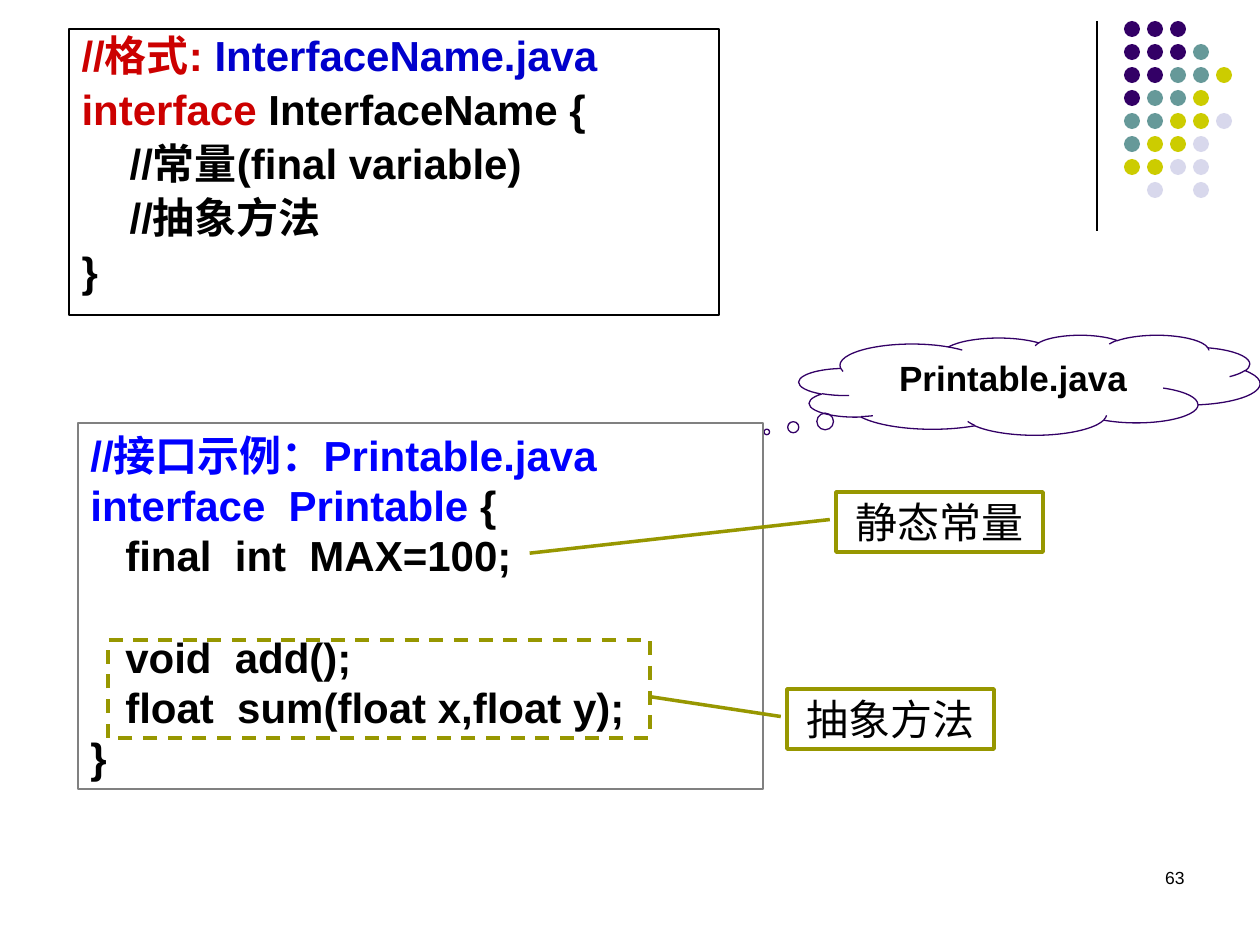
from dataclasses import dataclass

from lxml import etree
from pptx import Presentation
from pptx import util as u
from pptx.dml.color import RGBColor
from pptx.enum import dml, shapes, text
from pptx.oxml import ns

EMU_PER_PX = 914400 / 126


@dataclass(frozen=True)
class Theme:
    font: str = "Arial"
    black: str = "000000"
    red: str = "CC0000"
    navy: str = "0000CC"
    blue: str = "0000FF"
    gray: str = "808080"
    olive: str = "979700"
    purple: str = "330066"
    teal: str = "669999"
    yellow: str = "CCCC00"
    lilac: str = "D8D8EC"
    code_size: int = 24
    cloud_size: int = 20
    number_size: int = 10
    thin: float = 0.75
    thick: float = 2


THEME = Theme()

DOT_ROWS = ["PPP", "PPPT", "PPTTY", "PTTY", "TTYYL", "TYYL", "YYLL", " L L"]
DOT_COLORS = {"P": THEME.purple, "T": THEME.teal, "Y": THEME.yellow, "L": THEME.lilac}

FORMAT_CODE = [
    [("//格式: ", THEME.red), ("InterfaceName.java", THEME.navy)],
    [("interface ", THEME.red), ("InterfaceName {", THEME.black)],
    [("\t//常量(final variable)", THEME.black)],
    [("\t//抽象方法", THEME.black)],
    [("}", THEME.black)],
]
EXAMPLE_CODE = [
    [("//接口示例：Printable.java", THEME.blue)],
    [("interface  Printable ", THEME.blue), ("{", THEME.black)],
    [("   final  int  MAX=100;", THEME.black)],
    [("   void  add();", THEME.black)],
    [("   float  sum(float x,float y);", THEME.black)],
    [("}", THEME.black)],
]
METHODS_LINE = 3


def px(*lengths):
    return [u.Emu(round(length * EMU_PER_PX)) for length in lengths]


def rgb(color):
    return RGBColor.from_string(color)


def set_line(shape, color, width):
    shape.line.color.rgb = rgb(color)
    shape.line.width = u.Pt(width)


def write(shape, lines, size, bold=False, align=text.PP_ALIGN.LEFT,
          anchor=text.MSO_ANCHOR.TOP):
    frame = shape.text_frame
    frame.word_wrap = True
    frame.auto_size = text.MSO_AUTO_SIZE.NONE
    frame.vertical_anchor = anchor
    frame.text = "\n".join("" for _ in lines)
    for paragraph, pieces in zip(frame.paragraphs, lines):
        paragraph.alignment = align
        for content, color in pieces:
            run = paragraph.add_run()
            run.text = content
            run.font.name = THEME.font
            run.font.size = u.Pt(size)
            run.font.bold = bold
            run.font.color.rgb = rgb(color)
    return frame.paragraphs


def add_outline(slide, kind, box, color, width):
    shape = slide.shapes.add_shape(kind, *px(*box))
    shape.shadow.inherit = False
    shape.fill.background()
    set_line(shape, color, width)
    return shape


def add_divider(slide):
    line = slide.shapes.add_connector(shapes.MSO_CONNECTOR.STRAIGHT, *px(1097, 21, 1097, 231))
    set_line(line, THEME.black, THEME.thin)
    etree.SubElement(line._element.spPr, ns.qn("a:effectLst"))


def add_dots(slide, left, top, diameter, pitch):
    group = slide.shapes.add_group_shape()
    for row, codes in enumerate(DOT_ROWS):
        for column, code in enumerate(codes):
            if code == " ":
                continue
            dot = group.shapes.add_shape(
                shapes.MSO_SHAPE.OVAL,
                *px(left + column * pitch, top + row * pitch, diameter, diameter))
            dot.shadow.inherit = False
            dot.fill.solid()
            dot.fill.fore_color.rgb = rgb(DOT_COLORS[code])
            dot.line.fill.background()


def fill_format_body(slide):
    body = slide.placeholders[1]
    body.left, body.top, body.width, body.height = px(69, 29, 650, 286)
    set_line(body, THEME.black, THEME.thin)
    indent, = px(48)
    for index, paragraph in enumerate(write(body, FORMAT_CODE, THEME.code_size, bold=True)):
        properties = paragraph._p.get_or_add_pPr()
        properties.set("marL", str(indent))
        properties.set("indent", str(-indent))
        etree.SubElement(properties, ns.qn("a:buNone"))
        paragraph.line_spacing = 0.9
        paragraph.space_before = u.Pt(5 if index else 0)


def add_example(slide):
    box = add_outline(slide, shapes.MSO_SHAPE.RECTANGLE, (78, 423, 685, 366),
                      THEME.gray, THEME.thin)
    paragraphs = write(box, EXAMPLE_CODE, THEME.code_size, bold=True)
    paragraphs[METHODS_LINE].space_before = u.Pt(29)


def add_callout(slide, kind, box, adjustments, label, color, width, size, **style):
    callout = add_outline(slide, kind, box, color, width)
    for index, value in enumerate(adjustments):
        callout.adjustments[index] = value
    write(callout, [[(label, THEME.black)]], size, align=text.PP_ALIGN.CENTER, **style)


def add_label(slide, left, top, end, label):
    add_callout(slide, shapes.MSO_SHAPE.LINE_CALLOUT_1, (left, top, 207, 60),
                (0.46, -0.03, *end), label, THEME.olive, THEME.thick, THEME.code_size,
                anchor=text.MSO_ANCHOR.MIDDLE)


def add_slide_number(slide):
    number = slide.shapes.add_textbox(*px(903, 861, 294, 63))
    write(number, [[("63", THEME.black)]], THEME.number_size, align=text.PP_ALIGN.RIGHT)


def main():
    presentation = Presentation()
    presentation.slide_width, presentation.slide_height = px(1260, 945)
    slide = presentation.slides.add_slide(presentation.slide_layouts[1])
    title = slide.shapes.title._element
    title.getparent().remove(title)

    add_divider(slide)
    add_dots(slide, left=1124, top=21, diameter=16, pitch=23)
    add_slide_number(slide)
    fill_format_body(slide)
    add_callout(slide, shapes.MSO_SHAPE.CLOUD_CALLOUT, (799, 335, 461, 100),
                (-0.57, 0.47), "Printable.java", THEME.purple, THEME.thin,
                THEME.cloud_size, bold=True)
    add_example(slide)
    add_label(slide, 836, 492, (1.02, -1.48), "静态常量")
    add_label(slide, 787, 689, (0.13, -0.66), "抽象方法")
    methods = add_outline(slide, shapes.MSO_SHAPE.RECTANGLE, (108, 640, 542, 98),
                          THEME.olive, THEME.thick)
    methods.line.dash_style = dml.MSO_LINE.DASH
    presentation.save("out.pptx")


if __name__ == "__main__":
    main()
